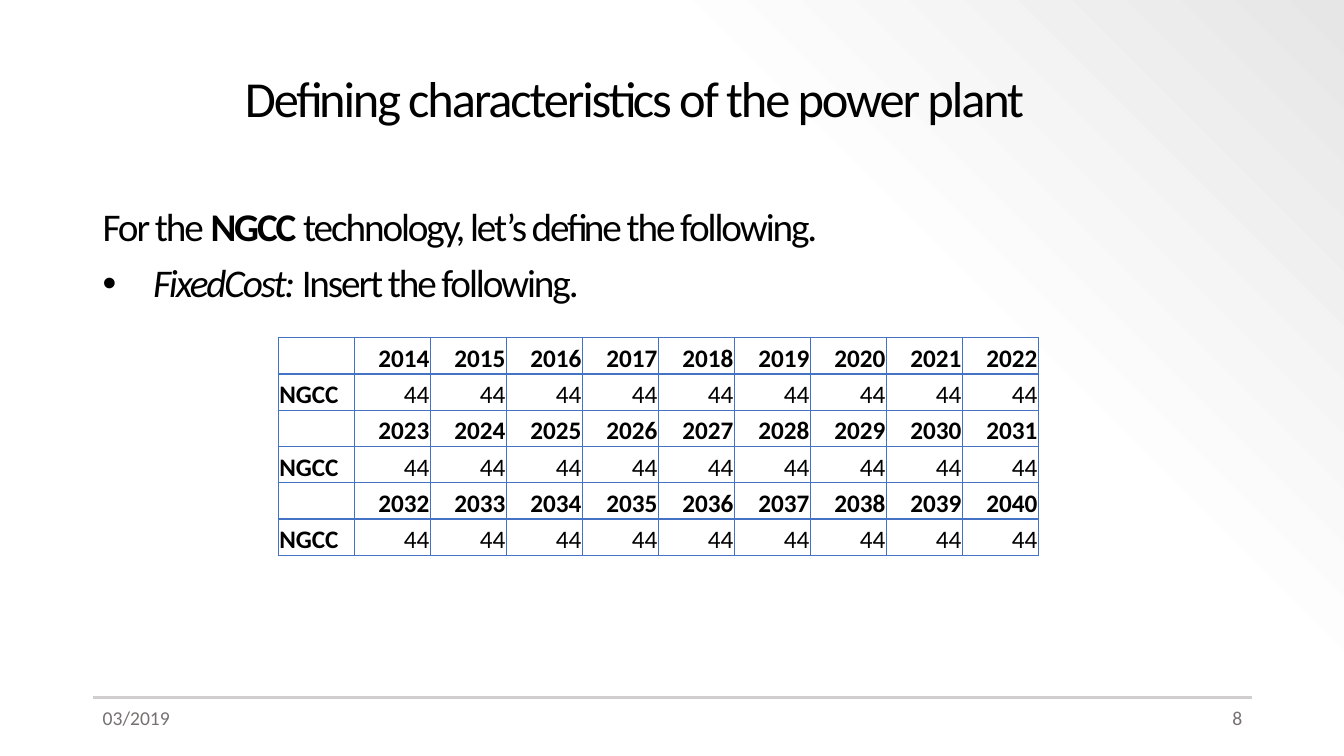
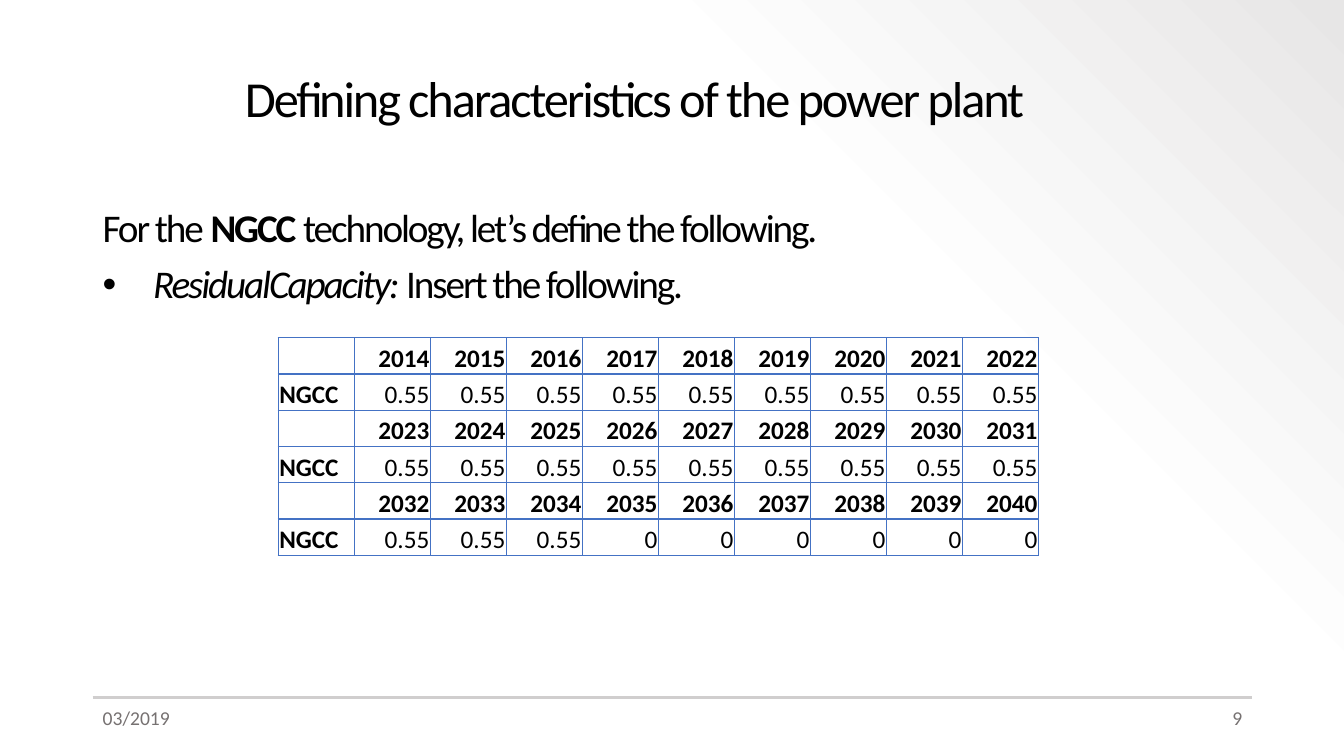
from copy import deepcopy

from lxml.etree import SubElement
from pptx import Presentation
from pptx.dml.color import RGBColor
from pptx.enum.shapes import MSO_CONNECTOR
from pptx.enum.text import MSO_ANCHOR, MSO_AUTO_SIZE, PP_ALIGN
from pptx.oxml import parse_xml
from pptx.oxml.ns import nsdecls, qn
from pptx.util import Inches, Pt

FONT = "Calibri"
BLACK, GREY, RULE, BORDER = "000000", "767171", "D0CECE", "4472C4"
BACKDROP = [(0, "FFFFFF"), (0.69, "FDFDFD"), (1, "E7E6E6")]
FIRST_YEAR, YEARS_PER_BLOCK = 2014, 9


def rgb(hex_code):
    """Turn a hex string into a colour."""
    return RGBColor.from_string(hex_code)


class Deck:
    """Holds the shared style and the current slide."""

    def __init__(self):
        """Set the slide size and the shared background."""
        self.prs = Presentation()
        self.prs.slide_width, self.prs.slide_height = Inches(13.33), Inches(7.5)
        self.slide = None
        self.paint_backdrop()

    def paint_backdrop(self):
        """Give the master a gradient that darkens to the top right."""
        fill = self.prs.slide_master.background.fill
        fill.gradient()
        fill.gradient_angle = 45
        last_stop = fill.gradient_stops[1].color
        last_stop.rgb = rgb(BACKDROP[-1][1])
        stops = next(self.prs.slide_master.element.iter(qn("a:gsLst")))
        stops.insert(1, deepcopy(stops[1]))
        for stop, (position, colour) in zip(fill.gradient_stops, BACKDROP):
            stop.position = position
            stop.color.rgb = rgb(colour)
        SubElement(stops[-1][0], qn("a:alpha"), val="50000")

    def add_slide(self, title, number):
        """Start a slide with its title and footer."""
        self.slide = self.prs.slides.add_slide(self.prs.slide_layouts[5])
        self.title(title)
        self.rule(0.92, 6.92, 12.42)
        self.footer("03/2019", 0.92, PP_ALIGN.LEFT)
        self.footer(str(number), 11.12, PP_ALIGN.RIGHT)

    def run(self, paragraph, text, size, colour=BLACK, bold=False,
            italic=False, spacing=0):
        """Add one formatted run; spacing is in points."""
        run = paragraph.add_run()
        run.text = text
        font = run.font
        font.name, font.size, font.bold, font.italic = FONT, Pt(size), bold, italic
        font.color.rgb = rgb(colour)
        if spacing:
            run._r.get_or_add_rPr().set("spc", str(int(spacing * 100)))

    def title(self, text):
        """Place and fill the title placeholder."""
        title = self.slide.shapes.title
        title.left, title.top = Inches(2.33), Inches(0.4)
        title.width, title.height = Inches(10.08), Inches(1.2)
        frame = title.text_frame
        frame.word_wrap = True
        frame.auto_size = MSO_AUTO_SIZE.NONE
        frame.vertical_anchor = MSO_ANCHOR.MIDDLE
        paragraph = frame.paragraphs[0]
        paragraph.alignment = PP_ALIGN.LEFT
        paragraph.line_spacing = 0.9
        self.run(paragraph, text, 36, spacing=-1.5)

    def text_frame(self, left, top, width, height):
        """Add a wrapping text box and return its frame."""
        box = self.slide.shapes.add_textbox(
            Inches(left), Inches(top), Inches(width), Inches(height))
        box.text_frame.word_wrap = True
        return box.text_frame

    def rule(self, left, top, right):
        """Draw the line above the footer."""
        rule = self.slide.shapes.add_connector(
            MSO_CONNECTOR.STRAIGHT, Inches(left), Inches(top),
            Inches(right), Inches(top))
        rule.line.color.rgb = rgb(RULE)
        rule.line.width = Pt(1.5)
        SubElement(rule._element.spPr, qn("a:effectLst"))

    def footer(self, text, left, alignment):
        """Add one footer entry."""
        paragraph = self.text_frame(left, 6.95, 1.3, 0.4).paragraphs[0]
        paragraph.alignment = alignment
        self.run(paragraph, text, 14, GREY)

    def body(self, parameter, top):
        """Add the introduction and the bullet that names the parameter."""
        frame = self.text_frame(0.92, top, 11.5, 4.73)
        intro, bullet = frame.paragraphs[0], frame.add_paragraph()
        for paragraph in (intro, bullet):
            paragraph.line_spacing = 0.9
            paragraph.space_before = Pt(10)
        self.run(intro, "For the ", 28, spacing=-1.5)
        self.run(intro, "NGCC ", 28, bold=True, spacing=-1.5)
        self.run(intro, "technology, let’s define the following.", 28, spacing=-1.5)
        indent = bullet._p.get_or_add_pPr()
        indent.set("marL", str(Inches(0.5)))
        indent.set("indent", str(Inches(-0.5)))
        SubElement(indent, qn("a:buFont"), typeface="Arial")
        SubElement(indent, qn("a:buChar"), char="•")
        self.run(bullet, f"{parameter}: ", 28, italic=True, spacing=-1.5)
        self.run(bullet, "Insert the following. ", 28, spacing=-1.5)

    def cell(self, cell, text, bold, alignment):
        """Format and fill one table cell."""
        cell.fill.background()
        cell.vertical_anchor = MSO_ANCHOR.BOTTOM
        cell.margin_left = cell.margin_right = cell.margin_top = Inches(0.01)
        cell.margin_bottom = 0
        properties = cell._tc.get_or_add_tcPr()
        for index, side in enumerate("LRTB"):
            properties.insert(index, parse_xml(
                f'<a:ln{side} {nsdecls("a")} w="{Pt(1)}"><a:solidFill>'
                f'<a:srgbClr val="{BORDER}"/></a:solidFill></a:ln{side}>'))
        paragraph = cell.text_frame.paragraphs[0]
        paragraph.alignment = alignment
        if text:
            self.run(paragraph, text, 18, bold=bold)

    def yearly_table(self, values):
        """Show yearly values in blocks of a year row and a value row."""
        rows = []
        for start in range(0, len(values), YEARS_PER_BLOCK):
            block = values[start:start + YEARS_PER_BLOCK]
            first = FIRST_YEAR + start
            rows.append([""] + [str(first + i) for i in range(len(block))])
            rows.append(["NGCC"] + block)
        table = self.slide.shapes.add_table(
            len(rows), YEARS_PER_BLOCK + 1, Inches(2.76), Inches(3.35),
            Inches(7.54), Inches(0.36 * len(rows))).table
        table.first_row = table.horz_banding = False
        for r, texts in enumerate(rows):
            for c, text in enumerate(texts):
                self.cell(table.cell(r, c), text, r % 2 == 0 or c == 0,
                          PP_ALIGN.RIGHT if c else PP_ALIGN.LEFT)


PARAMETERS = [
    ("FixedCost", 2.01, ["44"] * 27),
    ("ResidualCapacity", 2.02, ["0.55"] * 21 + ["0"] * 6),
]

deck = Deck()
for number, (parameter, body_top, values) in enumerate(PARAMETERS, start=8):
    deck.add_slide("Defining characteristics of the power plant", number)
    deck.body(parameter, body_top)
    deck.yearly_table(values)
deck.prs.save("out.pptx")
